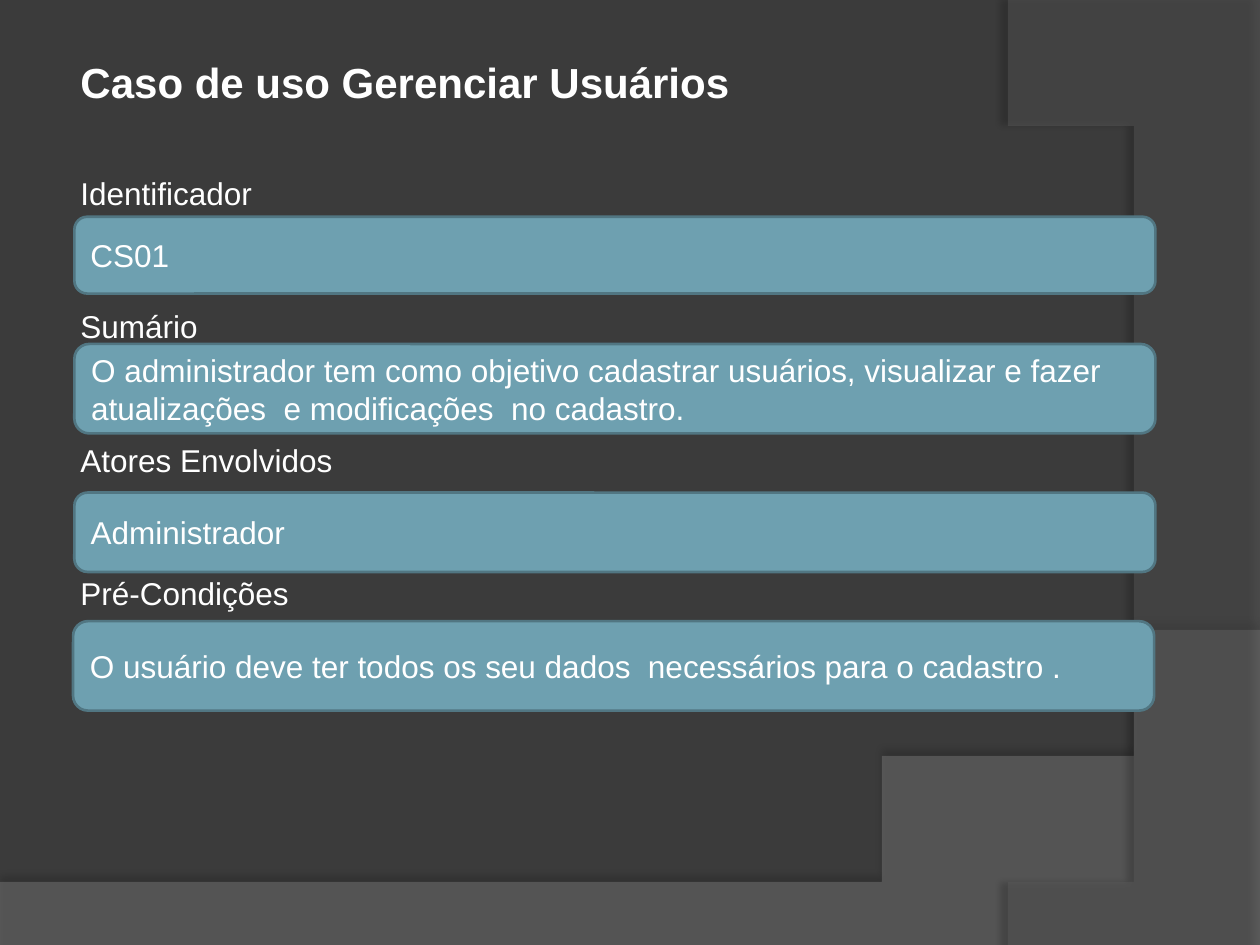
import lxml.etree
import pptx
import pptx.dml.color
import pptx.enum.shapes
import pptx.enum.text
import pptx.oxml.ns
import pptx.util

Inches = pptx.util.Inches
Pt = pptx.util.Pt
qn = pptx.oxml.ns.qn

COLORS = {
    "background": "3B3B3B",
    "wave": "7F7F7F",
    "arc": "5E5E5E",
    "shadow": "000000",
    "field": "6EA0B0",
    "border": "517682",
    "text": "FFFFFF",
}
BODY_FONT = {"name": "Arial", "size": Pt(18), "bold": False}
TITLE_FONT = {"name": "Arial", "size": Pt(24), "bold": True}
CURVE_STEPS = 60


def rgb(key):
    return pptx.dml.color.RGBColor.from_string(COLORS[key])


def write(paragraph, text, font_format):
    paragraph.text = text
    paragraph.alignment = pptx.enum.text.PP_ALIGN.LEFT
    for attribute, value in font_format.items():
        setattr(paragraph.font, attribute, value)
    paragraph.font.color.rgb = rgb("text")


deck = pptx.Presentation()
deck.slide_width, deck.slide_height = Inches(10), Inches(7.5)
slide = deck.slides.add_slide(deck.slide_layouts[6])
slide.background.fill.solid()
slide.background.fill.fore_color.rgb = rgb("background")

backdrops = [
    ("wave", 45, [(0, 7.05), (0, 7.51), (10, 7.51)],
     [(10, 5.2), (5.59, 7.29), (3.91, 7.19), (0, 7.05)], (35, 4, 3.5, 270)),
    ("arc", 40, [(10, 0.02), (10, 7.5)],
     [(8.21, 7.5), (9.35, 6.19), (10.18, 3), (8, 0)], (45, 4, 4, 180)),
]
for color, opacity, corners, controls, (shade, blur, distance, angle) in backdrops:
    points = list(corners)
    for step in range(CURVE_STEPS + 1):
        t = step / CURVE_STEPS
        weights = ((1 - t) ** 3, 3 * t * (1 - t) ** 2, 3 * t * t * (1 - t), t ** 3)
        points.append(tuple(sum(w * c[axis] for w, c in zip(weights, controls))
                            for axis in (0, 1)))
    outline = slide.shapes.build_freeform(*points[0], scale=Inches(1))
    outline.add_line_segments(points[1:], close=True)
    backdrop = outline.convert_to_shape()
    backdrop.fill.solid()
    backdrop.fill.fore_color.rgb = rgb(color)
    backdrop.line.fill.background()
    backdrop.shadow.inherit = False
    properties = backdrop.element.spPr
    fill_color = properties.find(qn("a:solidFill")).find(qn("a:srgbClr"))
    lxml.etree.SubElement(fill_color, qn("a:alpha"), val=str(opacity * 1000))
    shadow = lxml.etree.SubElement(
        properties.find(qn("a:effectLst")), qn("a:outerShdw"),
        blurRad=str(Pt(blur)), dist=str(Pt(distance)),
        dir=str(angle * 60000), algn="ctr", rotWithShape="0")
    shadow_color = lxml.etree.SubElement(shadow, qn("a:srgbClr"), val=COLORS["shadow"])
    lxml.etree.SubElement(shadow_color, qn("a:alpha"), val=str(shade * 1000))

headings = slide.shapes.add_textbox(
    Inches(0.54), Inches(0.4), Inches(8.95), Inches(6.65)).text_frame
headings.word_wrap = True
write(headings.paragraphs[0], "Caso de uso Gerenciar Usuários", TITLE_FONT)
for label, gap in [
    ("Identificador", 38),
    ("Sumário", 54.7),
    ("Atores Envolvidos", 54.7),
    ("Pré-Condições", 54.7),
]:
    heading = headings.add_paragraph()
    write(heading, label, BODY_FONT)
    heading.space_before = Pt(gap)

for content, left, top, height in [
    ("CS01", 0.59, 1.72, 0.61),
    ("O administrador tem como objetivo cadastrar usuários, visualizar e fazer "
     "atualizações  e modificações  no cadastro.", 0.59, 2.73, 0.71),
    ("Administrador", 0.59, 3.91, 0.63),
    ("O usuário deve ter todos os seu dados  necessários para o cadastro .",
     0.58, 4.93, 0.71),
]:
    field = slide.shapes.add_shape(
        pptx.enum.shapes.MSO_SHAPE.ROUNDED_RECTANGLE,
        Inches(left), Inches(top), Inches(8.58), Inches(height))
    field.shadow.inherit = False
    field.fill.solid()
    field.fill.fore_color.rgb = rgb("field")
    field.line.color.rgb = rgb("border")
    field.line.width = Pt(1.5)
    field.text_frame.word_wrap = True
    field.text_frame.vertical_anchor = pptx.enum.text.MSO_ANCHOR.MIDDLE
    write(field.text_frame.paragraphs[0], content, BODY_FONT)

deck.save("out.pptx")
